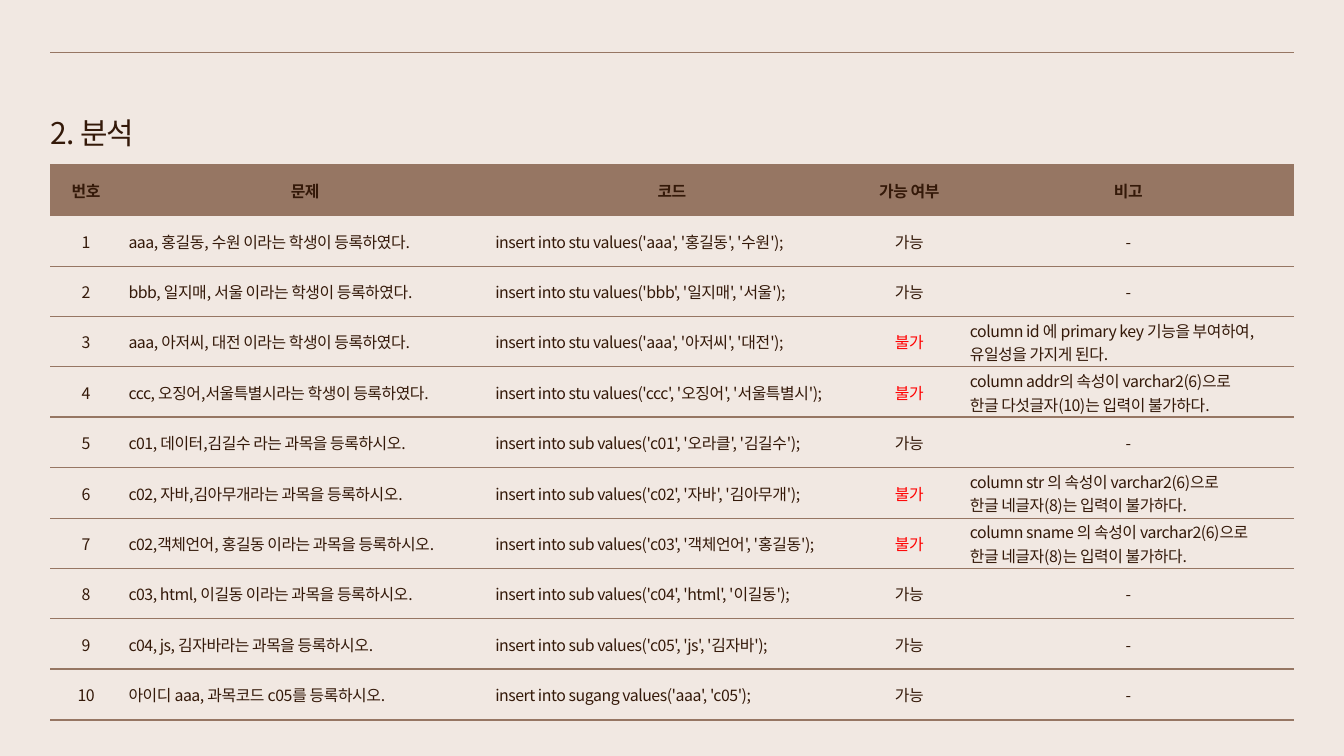
from lxml.etree import SubElement
from pptx import Presentation
from pptx.dml.color import RGBColor
from pptx.enum.shapes import MSO_CONNECTOR
from pptx.enum.text import MSO_ANCHOR, MSO_AUTO_SIZE, PP_ALIGN
from pptx.oxml.ns import qn
from pptx.util import Emu, Pt

BACKGROUND = RGBColor(0xF1, 0xE8, 0xE2)
BROWN = RGBColor(0x96, 0x76, 0x63)
DARK = RGBColor(0x34, 0x19, 0x09)
RED = RGBColor(0xFF, 0x00, 0x00)

TITLE_FONT = "Noto Sans CJK KR"
TABLE_FONT = "Noto Sans CJK SC"

LEFT, WIDTH = 72, 1776
ROW_HEIGHT = 72
COLUMN_WIDTHS = [102, 524, 524, 154, 472]
THIN, THICK, TOP = 0.75, 2.25, 3
RULES = [TOP] + [THIN] * 4 + [THICK] + [THIN] * 4 + [THICK] * 2

HEADER = ("번호", "문제", "코드", "가능 여부", "비고")
YES, NO, NONE = "가능", "불가", "-"
CASES = [
    ("aaa, 홍길동, 수원 이라는 학생이 등록하였다.",
     "insert into stu values('aaa', '홍길동', '수원');", YES, NONE),
    ("bbb, 일지매, 서울 이라는 학생이 등록하였다.",
     "insert into stu values('bbb', '일지매', '서울');", YES, NONE),
    ("aaa, 아저씨, 대전 이라는 학생이 등록하였다.",
     "insert into stu values('aaa', '아저씨', '대전');", NO,
     "column id 에 primary key 기능을 부여하여,\n유일성을 가지게 된다."),
    ("ccc, 오징어,서울특별시라는 학생이 등록하였다.",
     "insert into stu values('ccc', '오징어', '서울특별시');", NO,
     "column addr의 속성이 varchar2(6)으로\n한글 다섯글자(10)는 입력이 불가하다."),
    ("c01, 데이터,김길수 라는 과목을 등록하시오.",
     "insert into sub values('c01', '오라클', '김길수');", YES, NONE),
    ("c02, 자바,김아무개라는 과목을 등록하시오.",
     "insert into sub values('c02', '자바', '김아무개');", NO,
     "column str 의 속성이 varchar2(6)으로\n한글 네글자(8)는 입력이 불가하다."),
    ("c02,객체언어, 홍길동 이라는 과목을 등록하시오.",
     "insert into sub values('c03', '객체언어', '홍길동');", NO,
     "column sname 의 속성이 varchar2(6)으로\n한글 네글자(8)는 입력이 불가하다."),
    ("c03, html, 이길동 이라는 과목을 등록하시오.",
     "insert into sub values('c04', 'html', '이길동');", YES, NONE),
    ("c04, js, 김자바라는 과목을 등록하시오.",
     "insert into sub values('c05', 'js', '김자바');", YES, NONE),
    ("아이디 aaa, 과목코드 c05를 등록하시오.",
     "insert into sugang values('aaa', 'c05');", YES, NONE),
]


def px(n):
    return Emu(n * 9525)


def style_paragraph(p, font, size, color, spacing, align, line, bold=False):
    p.alignment = align
    p.line_spacing = line
    f = p.font
    f.name = font
    f.size = Pt(size)
    f.bold = bold
    f.color.rgb = color
    props = p._p.pPr.find(qn("a:defRPr"))
    props.set("spc", str(spacing))
    SubElement(props, qn("a:ea"), typeface=font)


def add_rule(s, y):
    c = s.shapes.add_connector(
        MSO_CONNECTOR.STRAIGHT, px(LEFT), px(y), px(LEFT + WIDTH), px(y))
    c.line.color.rgb = BROWN
    c.line.width = Pt(THIN)
    SubElement(c._element.spPr, qn("a:effectLst"))


def add_title(s, text):
    sp = s.shapes.title
    sp.left, sp.top, sp.width, sp.height = px(LEFT), px(149), px(579), px(60)
    tf = sp.text_frame
    tf.margin_left = tf.margin_right = tf.margin_top = tf.margin_bottom = 0
    tf.vertical_anchor = MSO_ANCHOR.TOP
    tf.word_wrap = True
    tf.auto_size = MSO_AUTO_SIZE.SHAPE_TO_FIT_TEXT
    tf.text = text
    style_paragraph(tf.paragraphs[0], TITLE_FONT, 32, DARK, -90,
                    PP_ALIGN.LEFT, Pt(49.3))


def set_borders(cell, top, bottom):
    props = cell._tc.get_or_add_tcPr()
    for side, width in (("L", 0), ("R", 0), ("T", top), ("B", bottom)):
        ln = SubElement(props, qn(f"a:ln{side}"), w=str(Pt(width)))
        if width:
            fill = SubElement(ln, qn("a:solidFill"))
            SubElement(fill, qn("a:srgbClr"), val=str(BROWN))
        else:
            SubElement(ln, qn("a:noFill"))


def fill_cell(cell, text, row, column):
    header = row == 0
    set_borders(cell, RULES[row], RULES[row + 1])
    if header:
        cell.fill.solid()
        cell.fill.fore_color.rgb = BROWN
    else:
        cell.fill.background()
    cell.vertical_anchor = MSO_ANCHOR.MIDDLE
    cell.margin_top = cell.margin_bottom = 0
    cell.text = text
    centered = header or column in (0, 3) or text == NONE
    align = PP_ALIGN.CENTER if centered else PP_ALIGN.LEFT
    color = RED if text == NO else DARK
    for p in cell.text_frame.paragraphs:
        style_paragraph(p, TABLE_FONT, 17, color, -50, align, 1.03, header)


def add_case_table(s):
    rows = [HEADER] + [(str(n), *case) for n, case in enumerate(CASES, 1)]
    table = s.shapes.add_table(
        len(rows), len(HEADER), px(LEFT), px(236),
        px(WIDTH), px(ROW_HEIGHT * len(rows))).table
    table.first_row = table.horz_banding = False
    for column, width in zip(table.columns, COLUMN_WIDTHS):
        column.width = px(width)
    for r, texts in enumerate(rows):
        for c, text in enumerate(texts):
            fill_cell(table.cell(r, c), text, r, c)


def main():
    prs = Presentation()
    prs.slide_width, prs.slide_height = px(1920), px(1080)
    s = prs.slides.add_slide(prs.slide_layouts[5])
    s.background.fill.solid()
    s.background.fill.fore_color.rgb = BACKGROUND
    add_rule(s, 75)
    add_title(s, "2. 분석")
    add_case_table(s)
    prs.save("out.pptx")


if __name__ == "__main__":
    main()
